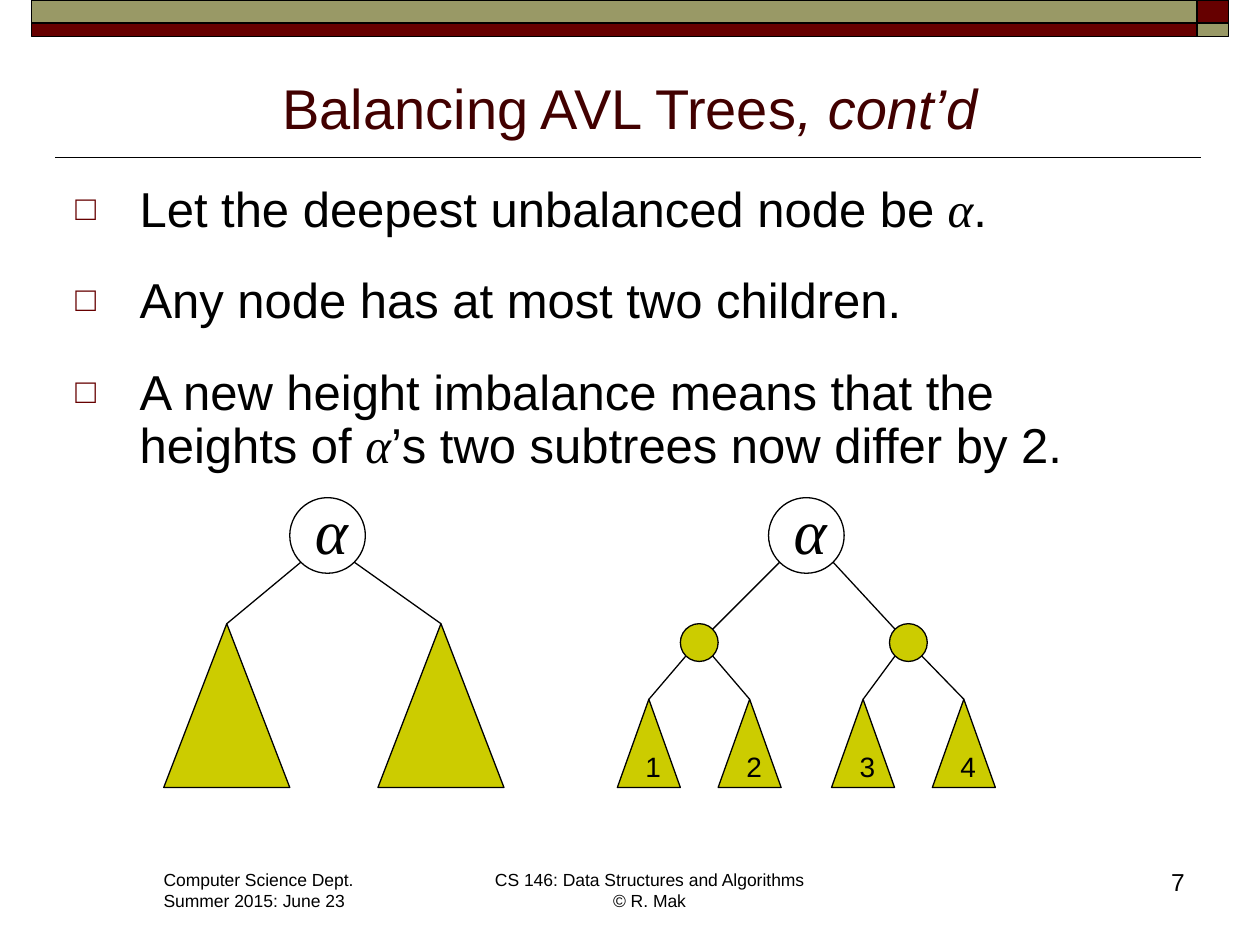
from dataclasses import dataclass
from math import sqrt
from typing import Optional

from lxml import etree
from pptx import Presentation
from pptx.dml.color import RGBColor
from pptx.enum import shapes, text
from pptx.oxml import ns
from pptx.util import Inches, Pt


@dataclass(frozen=True)
class Theme:
    black: str = "000000"
    maroon: str = "660000"
    olive: str = "999966"
    title: str = "420000"
    node: str = "CCCC00"
    sans: str = "Arial"
    serif: str = "Times New Roman"
    title_pt: int = 32
    body_pt: int = 28
    alpha_pt: int = 36
    label_pt: int = 16
    number_pt: int = 14
    footer_pt: int = 10
    rule_pt: float = 1
    edge_pt: float = 0.75


@dataclass(frozen=True)
class Box:
    x: float
    y: float
    w: float
    h: float

    def lengths(self) -> tuple:
        return tuple(Inches(n) for n in (self.x, self.y, self.w, self.h))


@dataclass(frozen=True)
class Node:
    cx: float
    top: float
    w: float
    h: float
    label: str = ""
    children: tuple["Node", ...] = ()

    def box(self) -> Box:
        return Box(self.cx - self.w / 2, self.top, self.w, self.h)

    def port(self, side: int, down: int) -> tuple[float, float]:
        if not self.children:
            return self.cx, self.top
        reach = self.w / 2 / sqrt(2)
        return self.cx + side * reach, self.top + self.h / 2 + down * reach


THEME = Theme()
ALPHA = "α"
BANDS = (
    (Box(9.5, 0, 0.25, 0.18), THEME.maroon),
    (Box(0.25, 0, 9.25, 0.18), THEME.olive),
    (Box(0.25, 0.18, 9.25, 0.11), THEME.maroon),
    (Box(9.5, 0.18, 0.25, 0.11), THEME.olive),
)
BULLETS = (
    ("Let the deepest unbalanced node be ", ALPHA, "."),
    ("Any node has at most two children.",),
    ("A new height imbalance means that the \vheights of ", ALPHA,
     "’s two subtrees now differ by 2."),
)


def small_tree(cx: float, left: float, right: float, first: int) -> Node:
    leaves = tuple(Node(x, 5.55, 0.5, 0.7, str(first + i))
                   for i, x in enumerate((left, right)))
    return Node(cx, 4.95, 0.3, 0.3, children=leaves)


def root(cx: float, *children: Node) -> Node:
    return Node(cx, 3.95, 0.6, 0.6, ALPHA, children)


TREES = (
    root(2.6, Node(1.8, 4.95, 1, 1.3), Node(3.5, 4.95, 1, 1.3)),
    root(6.4, small_tree(5.55, 5.15, 5.95, 1), small_tree(7.21, 6.85, 7.65, 3)),
)


def style_font(r, size: float, color: str = THEME.black,
               name: str = THEME.sans, italic: bool = False) -> None:
    r.font.size = Pt(size)
    r.font.name = name
    r.font.italic = italic
    r.font.color.rgb = RGBColor.from_string(color)


def add_text(s, box: Box, value: str, size: float, align=text.PP_ALIGN.LEFT,
             wrap: bool = False, name: str = THEME.sans, italic: bool = False) -> None:
    tf = s.shapes.add_textbox(*box.lengths()).text_frame
    tf.word_wrap = wrap
    tf.text = value
    for p in tf.paragraphs:
        p.alignment = align
        for r in p.runs:
            style_font(r, size, name=name, italic=italic)


def add_figure(s, kind, box: Box, fill: Optional[str], width: float):
    sp = s.shapes.add_shape(kind, *box.lengths())
    sp.shadow.inherit = False
    if fill:
        sp.fill.solid()
        sp.fill.fore_color.rgb = RGBColor.from_string(fill)
    else:
        sp.fill.background()
    sp.line.color.rgb = RGBColor.from_string(THEME.black)
    sp.line.width = Pt(width)
    return sp


def add_line(s, start: tuple[float, float], end: tuple[float, float], width: float) -> None:
    line = s.shapes.add_connector(shapes.MSO_CONNECTOR.STRAIGHT,
                                  *(Inches(n) for n in start + end))
    line.line.color.rgb = RGBColor.from_string(THEME.black)
    line.line.width = Pt(width)
    etree.SubElement(line._element.spPr, ns.qn("a:effectLst"))


def add_bullet(p) -> None:
    pPr = p._p.get_or_add_pPr()
    pPr.set("marL", str(Inches(0.51)))
    pPr.set("indent", str(Inches(-0.51)))
    color = etree.SubElement(pPr, ns.qn("a:buClr"))
    etree.SubElement(color, ns.qn("a:srgbClr"), val=THEME.maroon)
    etree.SubElement(pPr, ns.qn("a:buSzPct"), val="70000")
    etree.SubElement(pPr, ns.qn("a:buFont"), typeface=THEME.sans)
    etree.SubElement(pPr, ns.qn("a:buChar"), char="□")


def add_title(s) -> None:
    sp = s.shapes.title
    sp.left, sp.top, sp.width, sp.height = Box(0.5, 0.45, 9, 0.72).lengths()
    tf = sp.text_frame
    tf.auto_size = text.MSO_AUTO_SIZE.NONE
    tf.vertical_anchor = text.MSO_ANCHOR.BOTTOM
    p = tf.paragraphs[0]
    p.text = "Balancing AVL Trees"
    p.alignment = text.PP_ALIGN.CENTER
    p.add_run().text = ", cont’d"
    for r, italic in zip(p.runs, (False, True)):
        style_font(r, THEME.title_pt, THEME.title, italic=italic)


def add_body(s) -> None:
    tf = s.shapes.add_textbox(*Box(0.5, 1.42, 9, 2.43).lengths()).text_frame
    tf.word_wrap = True
    for i, parts in enumerate(BULLETS):
        p = tf.add_paragraph() if i else tf.paragraphs[0]
        p.line_spacing = 0.9
        p.space_before = Pt(22 if i else 3)
        add_bullet(p)
        p.text = parts[0]
        for part in parts[1:]:
            p.add_run().text = part
        for r in p.runs:
            is_alpha = r.text == ALPHA
            style_font(r, THEME.body_pt, italic=is_alpha,
                       name=THEME.serif if is_alpha else THEME.sans)


def add_tree(s, node: Node) -> None:
    kind = shapes.MSO_SHAPE.OVAL if node.children else shapes.MSO_SHAPE.ISOSCELES_TRIANGLE
    is_root = node.label == ALPHA
    sp = add_figure(s, kind, node.box(), None if is_root else THEME.node, THEME.edge_pt)
    if is_root:
        add_text(s, Box(node.cx - 0.2, node.top - 0.1, 0.5, 0.71), ALPHA,
                 THEME.alpha_pt, name=THEME.serif, italic=True)
    elif node.label:
        tf = sp.text_frame
        tf.text = node.label
        tf.vertical_anchor = text.MSO_ANCHOR.TOP
        tf.paragraphs[0].alignment = text.PP_ALIGN.LEFT
        style_font(tf.paragraphs[0].runs[0], THEME.label_pt)
    for side, child in zip((-1, 1), node.children):
        add_tree(s, child)
        add_line(s, node.port(side, 1), child.port(-side, -1), THEME.edge_pt)


def main() -> None:
    prs = Presentation()
    prs.slide_width, prs.slide_height = Inches(10), Inches(7.5)
    s = prs.slides.add_slide(prs.slide_layouts[5])
    add_line(s, (0.44, 1.25), (9.53, 1.25), THEME.rule_pt)
    for box, color in BANDS:
        add_figure(s, shapes.MSO_SHAPE.RECTANGLE, box, color, THEME.rule_pt)
    add_title(s)
    add_body(s)
    for tree in TREES:
        add_tree(s, tree)
    add_text(s, Box(1.2, 6.85, 1.73, 0.44),
             "Computer Science Dept.\nSummer 2015: June 23", THEME.footer_pt)
    add_text(s, Box(3.82, 6.85, 2.67, 0.44),
             "CS 146: Data Structures and Algorithms\v© R. Mak",
             THEME.footer_pt, text.PP_ALIGN.CENTER)
    add_text(s, Box(7.42, 6.83, 2.08, 0.5), "7", THEME.number_pt,
             text.PP_ALIGN.RIGHT, wrap=True)
    prs.save("out.pptx")


if __name__ == "__main__":
    main()
